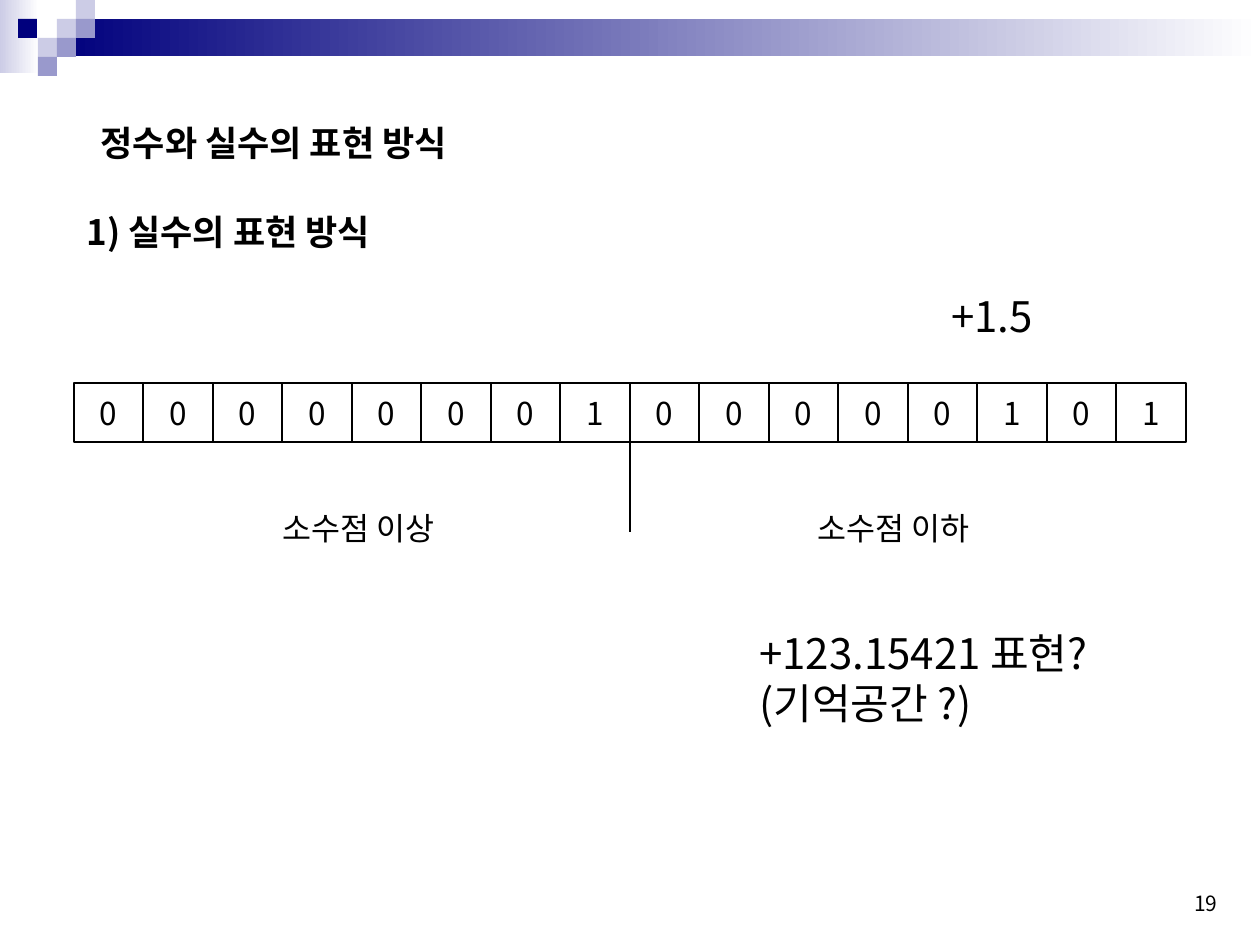
from dataclasses import dataclass
from typing import NamedTuple

from lxml.etree import SubElement
from pptx import Presentation
from pptx.dml.color import RGBColor
from pptx.enum.shapes import MSO_CONNECTOR, MSO_SHAPE
from pptx.enum.text import MSO_ANCHOR, MSO_AUTO_SIZE, PP_ALIGN
from pptx.oxml.ns import qn
from pptx.util import Emu, Pt

SCALE = 914400 / 126  # EMU in one px


@dataclass(frozen=True)
class Theme:
    font: str = "Noto Sans CJK KR"
    ink: str = "000000"
    paper: str = "FFFFFF"
    navy: str = "00007D"
    mid: str = "9999CC"
    pale: str = "CCCCE6"
    big: int = 24
    head: int = 20
    body: int = 18
    small: int = 12
    rule: float = 0.75


class Box(NamedTuple):
    left: int
    top: int
    width: int
    height: int


class Label(NamedTuple):
    text: str
    box: Box
    size: int
    bold: bool = False


class Tile(NamedTuple):
    left: int
    top: int
    color: str


THEME = Theme()


def px(size: int) -> Emu:
    return Emu(round(size * SCALE))


def rgb(color: str) -> RGBColor:
    return RGBColor.from_string(color)


def place(shape, box: Box) -> None:
    shape.left, shape.top, shape.width, shape.height = map(px, box)


def write(shape, text: str, size: int, bold: bool = False,
          align=PP_ALIGN.LEFT, anchor=MSO_ANCHOR.TOP) -> None:
    frame = shape.text_frame
    frame.text = text
    frame.word_wrap = False
    frame.vertical_anchor = anchor
    for para in frame.paragraphs:
        para.alignment = align
        for run in para.runs:
            font = run.font
            font.name, font.size, font.bold = THEME.font, Pt(size), bold
            font.color.rgb = rgb(THEME.ink)
            # Hangul takes the East Asian typeface
            SubElement(run._r.get_or_add_rPr(), qn("a:ea"), typeface=THEME.font)


def add_rect(slide, box: Box):
    shape = slide.shapes.add_shape(MSO_SHAPE.RECTANGLE, *map(px, box))
    shape.shadow.inherit = False
    shape.line.fill.background()
    return shape


def add_fade(slide, box: Box, color: str) -> None:
    fill = add_rect(slide, box).fill
    fill.gradient()
    fill.gradient_angle = 0
    for stop, tone in zip(fill.gradient_stops, (color, THEME.paper)):
        stop.color.rgb = rgb(tone)


def add_tile(slide, tile: Tile, side: int) -> None:
    fill = add_rect(slide, Box(tile.left, tile.top, side, side)).fill
    fill.solid()
    fill.fore_color.rgb = rgb(tile.color)


def add_bit(slide, bit: str, box: Box) -> None:
    cell = add_rect(slide, box)
    cell.fill.solid()
    cell.fill.fore_color.rgb = rgb(THEME.paper)
    cell.line.color.rgb = rgb(THEME.ink)
    cell.line.width = Pt(THEME.rule)
    write(cell, bit, THEME.body, align=PP_ALIGN.CENTER, anchor=MSO_ANCHOR.MIDDLE)


def add_label(slide, label: Label) -> None:
    shape = slide.shapes.add_textbox(*map(px, label.box))
    write(shape, label.text, label.size, label.bold)
    shape.text_frame.auto_size = MSO_AUTO_SIZE.SHAPE_TO_FIT_TEXT


def add_rule(slide, x: int, top: int, end: int) -> None:
    line = slide.shapes.add_connector(
        MSO_CONNECTOR.STRAIGHT, px(x), px(top), px(x), px(end))
    line.line.color.rgb = rgb(THEME.ink)
    line.line.width = Pt(THEME.rule)
    SubElement(line._element.spPr, qn("a:effectLst"))


SIDE = 19
TILES = (
    Tile(57, 19, THEME.pale), Tile(76, 0, THEME.pale), Tile(76, 19, THEME.mid),
    Tile(38, 38, THEME.pale), Tile(18, 19, THEME.navy),
    Tile(57, 38, THEME.mid), Tile(38, 57, THEME.mid),
)
BITS = "0000000100000101"
ROW = Box(74, 383, 1112, 59)
TITLE = Label("정수와 실수의 표현 방식", Box(88, 115, 401, 55), THEME.head, True)
LABELS = (
    Label("1) 실수의 표현 방식", Box(74, 204, 358, 55), THEME.head, True),
    Label("소수점 이상", Box(270, 503, 185, 50), THEME.body),
    Label("소수점 이하", Box(805, 503, 185, 50), THEME.body),
    Label("+1.5", Box(939, 284, 126, 63), THEME.big),
    Label("+123.15421 표현?\n(기억공간 ?)", Box(747, 621, 426, 113), THEME.big),
)


def main() -> None:
    deck = Presentation()
    deck.slide_width, deck.slide_height = px(1260), px(945)
    slide = deck.slides.add_slide(deck.slide_layouts[5])

    # Header band with its mosaic
    add_fade(slide, Box(0, 0, 39, 73), THEME.pale)
    add_fade(slide, Box(57, 19, 1203, 37), THEME.navy)
    for tile in TILES:
        add_tile(slide, tile, SIDE)

    # Title
    title = slide.shapes.title
    place(title, TITLE.box)
    write(title, TITLE.text, TITLE.size, TITLE.bold)
    title.text_frame.auto_size = MSO_AUTO_SIZE.SHAPE_TO_FIT_TEXT

    # Row of sixteen bits, split at the binary point
    edges = [ROW.left + ROW.width * i // len(BITS) for i in range(len(BITS) + 1)]
    for bit, left, right in zip(BITS, edges, edges[1:]):
        add_bit(slide, bit, Box(left, ROW.top, right - left, ROW.height))
    add_rule(slide, edges[len(BITS) // 2], ROW.top, 532)

    # Captions and examples
    for label in LABELS:
        add_label(slide, label)

    # Page number
    page = slide.shapes.add_textbox(*map(px, Box(907, 859, 323, 63)))
    write(page, "19", THEME.small, align=PP_ALIGN.RIGHT, anchor=MSO_ANCHOR.BOTTOM)
    page.text_frame.word_wrap = True

    deck.save("out.pptx")


if __name__ == "__main__":
    main()
